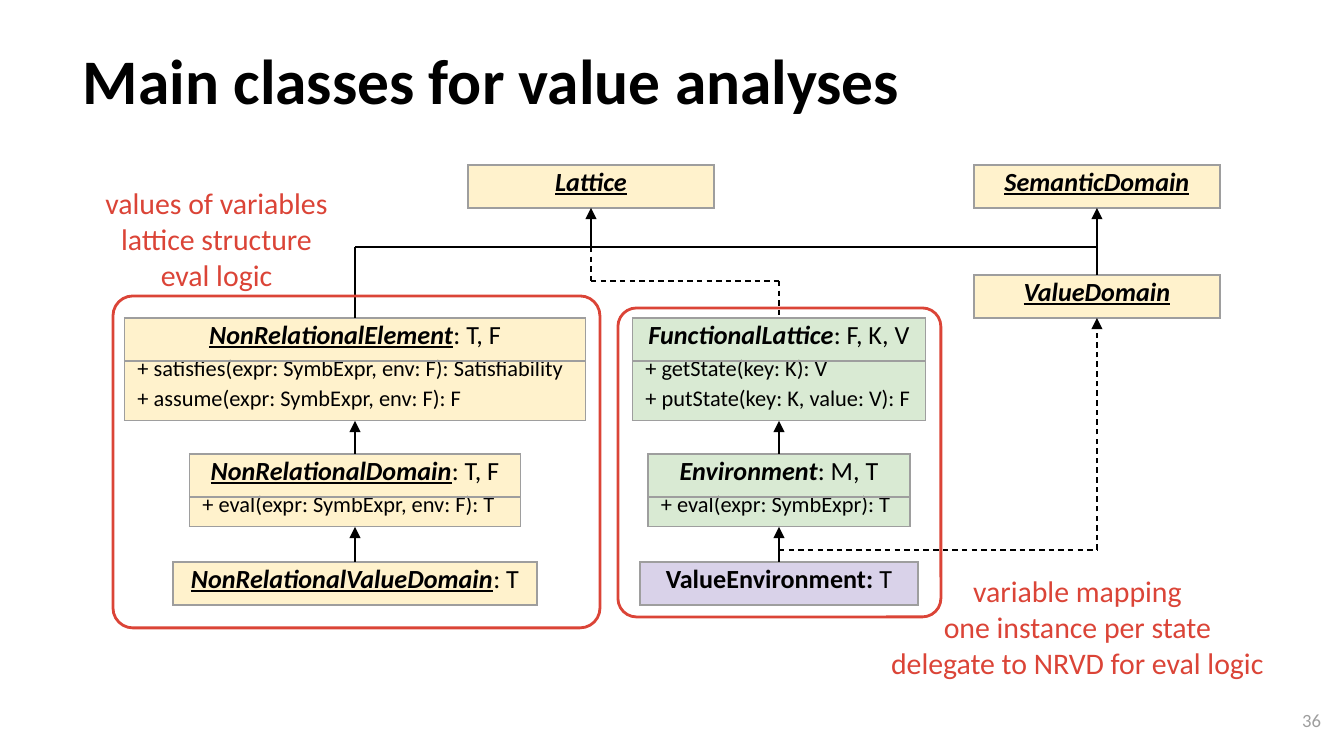
from lxml import etree
from pptx import Presentation
from pptx.dml.color import RGBColor
from pptx.enum.dml import MSO_LINE
from pptx.enum.shapes import MSO_CONNECTOR, MSO_SHAPE
from pptx.enum.text import MSO_ANCHOR, PP_ALIGN
from pptx.oxml.ns import qn
from pptx.util import Pt

STRAIGHT = MSO_CONNECTOR.STRAIGHT
ROUNDED = MSO_SHAPE.ROUNDED_RECTANGLE
DASH = MSO_LINE.DASH
TOP, MIDDLE, BOTTOM = MSO_ANCHOR.TOP, MSO_ANCHOR.MIDDLE, MSO_ANCHOR.BOTTOM
LEFT, CENTER, RIGHT = PP_ALIGN.LEFT, PP_ALIGN.CENTER, PP_ALIGN.RIGHT

PX_PER_INCH = 134.4
INSET = 13
FONT = "Calibri"
BLACK, GRAY, RED = "000000", "9E9E9E", "DB4437"
YELLOW, GREEN, PURPLE = "FFF2CC", "D9EAD3", "D9D2E9"

# Diagram grid: column centres, row tops and class box row heights
ELEMENT_X, LATTICE_X, ENVIRONMENT_X, DOMAIN_X = 355, 591, 779, 1097
ROOT_Y, VALUE_Y, BASE_Y, MIDDLE_Y, LEAF_Y = 165, 275, 318, 454, 562
NAME_HEIGHT, METHOD_HEIGHT = 43, 30
ROOT_BOTTOM = ROOT_Y + NAME_HEIGHT
BASE_BOTTOM = BASE_Y + NAME_HEIGHT + 2 * METHOD_HEIGHT
MIDDLE_BOTTOM = MIDDLE_Y + NAME_HEIGHT + METHOD_HEIGHT
BRANCH_Y, LATTICE_BRANCH_Y, DOMAIN_BRANCH_Y = 247, 281, 550

# Class boxes: centre x, top, width, fill, name, underlined, parameters, methods
CLASSES = [
    (LATTICE_X, ROOT_Y, 246, YELLOW, "Lattice", True, "", []),
    (DOMAIN_X, ROOT_Y, 246, YELLOW, "SemanticDomain", True, "", []),
    (DOMAIN_X, VALUE_Y, 246, YELLOW, "ValueDomain", True, "", []),
    (ELEMENT_X, BASE_Y, 461, YELLOW, "NonRelationalElement", True, ": T, F",
     ["+ satisfies(expr: SymbExpr, env: F): Satisfiability",
      "+ assume(expr: SymbExpr, env: F): F"]),
    (ELEMENT_X, MIDDLE_Y, 331, YELLOW, "NonRelationalDomain", True, ": T, F",
     ["+ eval(expr: SymbExpr, env: F): T"]),
    (ELEMENT_X, LEAF_Y, 364, YELLOW, "NonRelationalValueDomain", True, ": T", []),
    (ENVIRONMENT_X, BASE_Y, 293, GREEN, "FunctionalLattice", False, ": F, K, V",
     ["+ getState(key: K): V", "+ putState(key: K, value: V): F"]),
    (ENVIRONMENT_X, MIDDLE_Y, 262, GREEN, "Environment", False, ": M, T",
     ["+ eval(expr: SymbExpr): T"]),
    (ENVIRONMENT_X, LEAF_Y, 278, PURPLE, "ValueEnvironment: ", False, "T", []),
]


def px(length):
    return round(length * 914400 / PX_PER_INCH)


def rgb(color):
    return RGBColor.from_string(color)


def add_run(paragraph, text, size, color=BLACK, bold=False, italic=False, underline=False):
    run = paragraph.add_run()
    run.text = text
    font = run.font
    font.name, font.size = FONT, Pt(size)
    font.bold, font.italic, font.underline = bold, italic, underline
    font.color.rgb = rgb(color)


def add_text(slide, box, lines, size, color, align, anchor=TOP, bold=False):
    frame = slide.shapes.add_textbox(*map(px, box)).text_frame
    frame.word_wrap = True
    frame.vertical_anchor = anchor
    frame.margin_left = frame.margin_right = px(INSET)
    frame.margin_top = frame.margin_bottom = px(INSET)
    for index, line in enumerate(lines):
        paragraph = frame.add_paragraph() if index else frame.paragraphs[0]
        paragraph.alignment = align
        add_run(paragraph, line, size, color, bold)


def set_borders(cell, hidden):
    """Draw the cell's sides, leaving out those whose tags are hidden."""
    properties = cell._tc.get_or_add_tcPr()
    for index, side in enumerate(("lnL", "lnR", "lnT", "lnB")):
        line = etree.Element(qn("a:" + side), w=str(Pt(0.75)))
        if side in hidden:
            etree.SubElement(line, qn("a:noFill"))
        else:
            fill = etree.SubElement(line, qn("a:solidFill"))
            etree.SubElement(fill, qn("a:srgbClr"), val=GRAY)
        properties.insert(index, line)


def format_cell(cell, fill, align, spacing, hidden=()):
    cell.fill.solid()
    cell.fill.fore_color.rgb = rgb(fill)
    cell.vertical_anchor = MIDDLE
    cell.margin_left = cell.margin_right = px(INSET)
    cell.margin_top = cell.margin_bottom = px(INSET)
    set_borders(cell, hidden)
    paragraph = cell.text_frame.paragraphs[0]
    paragraph.alignment = align
    paragraph.line_spacing = spacing
    return paragraph


def add_class(slide, center, top, width, fill, name, underlined, parameters, methods):
    heights = [NAME_HEIGHT] + [METHOD_HEIGHT] * len(methods)
    table = slide.shapes.add_table(
        len(heights), 1, px(center - width / 2), px(top), px(width), px(sum(heights))).table
    table.first_row = table.horz_banding = False
    for row, height in zip(table.rows, heights):
        row.height = px(height)

    # Class name, italic when abstract
    paragraph = format_cell(table.cell(0, 0), fill, CENTER, 0.5)
    add_run(paragraph, name, 14, bold=True, italic=fill != PURPLE, underline=underlined)
    if parameters:
        add_run(paragraph, parameters, 14)

    # Methods, with no rule between them
    for index, method in enumerate(methods, 1):
        hidden = (["lnT"] if index > 1 else []) + (["lnB"] if index < len(methods) else [])
        paragraph = format_cell(table.cell(index, 0), fill, LEFT, 0.1, hidden)
        add_run(paragraph, method, 12)


def add_line(slide, x1, y1, x2, y2, arrow=False, dashed=False):
    connector = slide.shapes.add_connector(STRAIGHT, px(x1), px(y1), px(x2), px(y2))
    connector.line.color.rgb = rgb(BLACK)
    connector.line.width = Pt(0.75)
    if dashed:
        connector.line.dash_style = DASH
    if arrow:
        etree.SubElement(connector.line._get_or_add_ln(), qn("a:tailEnd"), type="triangle")
    etree.SubElement(connector._element.spPr, qn("a:effectLst"))


def add_frame(slide, *box):
    shape = slide.shapes.add_shape(ROUNDED, *map(px, box))
    shape.adjustments[0] = 0.06
    shape.shadow.inherit = False
    shape.fill.background()
    shape.line.color.rgb = rgb(RED)
    shape.line.width = Pt(1.5)


def main():
    presentation = Presentation()
    presentation.slide_width, presentation.slide_height = px(1344), px(756)
    slide = presentation.slides.add_slide(presentation.slide_layouts[6])

    # Title and slide number
    add_text(slide, (70, 17, 1208, 113), ["Main classes for value analyses"],
             34, BLACK, LEFT, BOTTOM, bold=True)
    add_text(slide, (1253, 691, 81, 58), ["36"], 10, GRAY, RIGHT, MIDDLE)

    for class_box in CLASSES:
        add_class(slide, *class_box)

    # Inheritance within each column
    for x in (ELEMENT_X, ENVIRONMENT_X):
        add_line(slide, x, LEAF_Y, x, MIDDLE_BOTTOM, arrow=True)
        add_line(slide, x, MIDDLE_Y, x, BASE_BOTTOM, arrow=True)

    # Shared branch to Lattice and SemanticDomain
    add_line(slide, DOMAIN_X, VALUE_Y, DOMAIN_X, ROOT_BOTTOM, arrow=True)
    add_line(slide, LATTICE_X, BRANCH_Y, LATTICE_X, ROOT_BOTTOM, arrow=True)
    add_line(slide, DOMAIN_X, BRANCH_Y, ELEMENT_X, BRANCH_Y)
    add_line(slide, ELEMENT_X, BASE_Y, ELEMENT_X, BRANCH_Y)

    # Dashed branch from FunctionalLattice to Lattice
    add_line(slide, LATTICE_X, BRANCH_Y, LATTICE_X, LATTICE_BRANCH_Y, dashed=True)
    add_line(slide, LATTICE_X, LATTICE_BRANCH_Y, ENVIRONMENT_X, LATTICE_BRANCH_Y, dashed=True)
    add_line(slide, ENVIRONMENT_X, LATTICE_BRANCH_Y, ENVIRONMENT_X, BASE_Y, dashed=True)

    # Dashed branch from ValueEnvironment to ValueDomain
    add_line(slide, ENVIRONMENT_X, DOMAIN_BRANCH_Y, DOMAIN_X, DOMAIN_BRANCH_Y, dashed=True)
    add_line(slide, DOMAIN_X, DOMAIN_BRANCH_Y, DOMAIN_X, VALUE_Y + NAME_HEIGHT,
             arrow=True, dashed=True)

    # Red frames and their notes
    add_frame(slide, 113, 296, 487, 332)
    add_frame(slide, 618, 308, 323, 309)
    add_text(slide, (70, 172, 293, 120),
             ["values of variables", "lattice structure", "eval logic"], 16, RED, CENTER)
    add_text(slide, (872, 560, 411, 120),
             ["variable mapping", "one instance per state", "delegate to NRVD for eval logic"],
             16, RED, CENTER)

    presentation.save("out.pptx")


if __name__ == "__main__":
    main()
